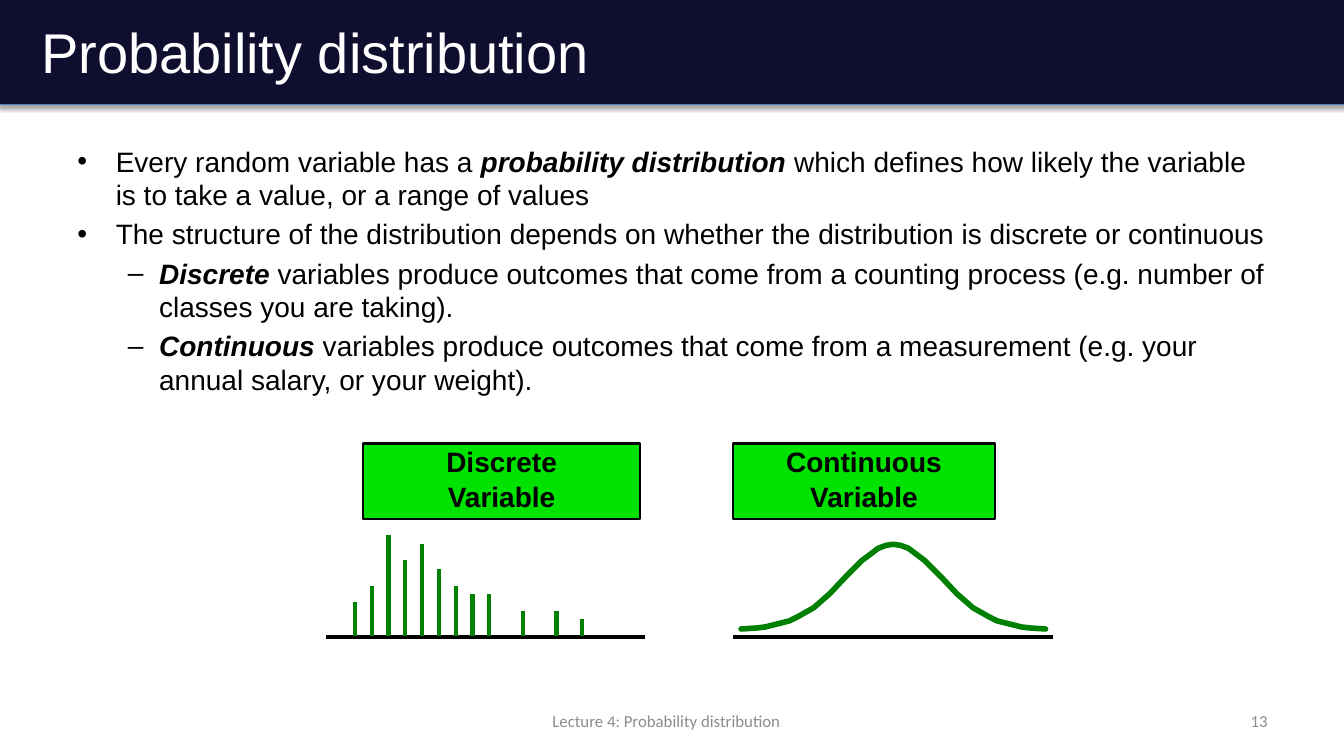
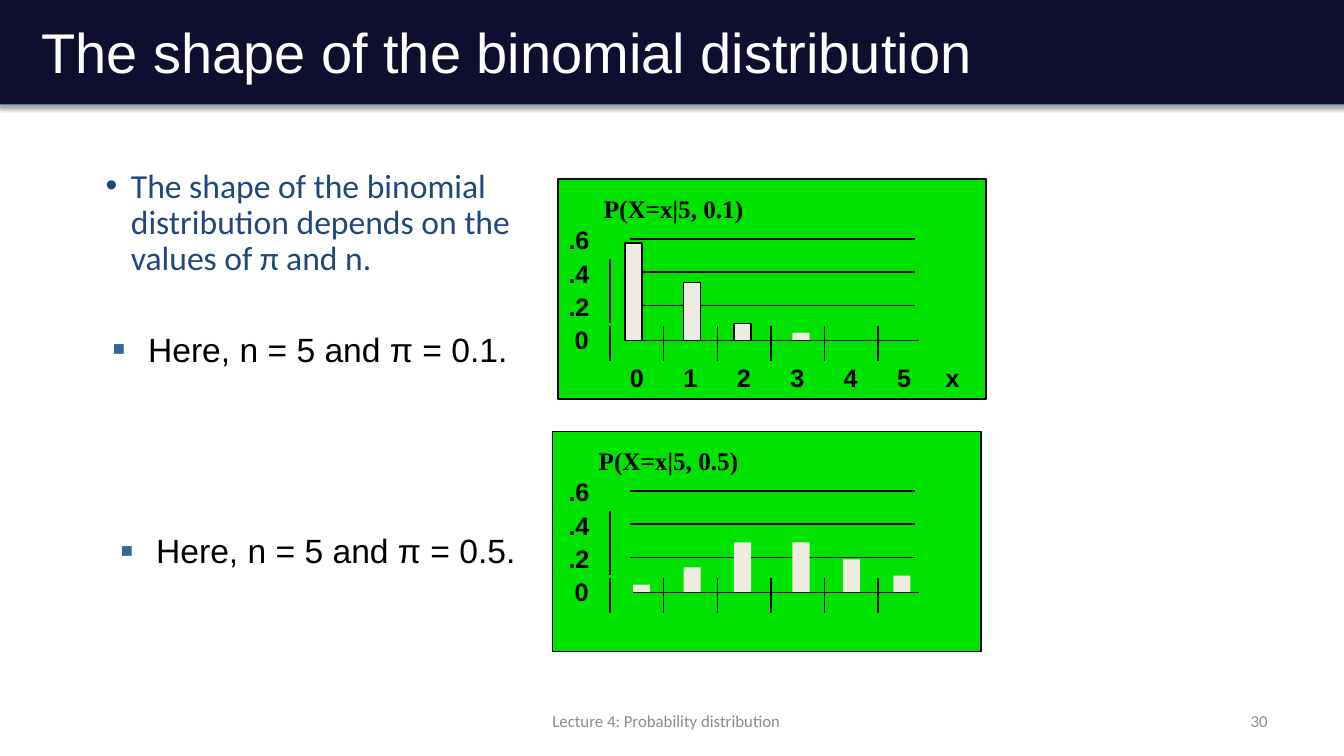
from lxml import etree
from pptx import Presentation
from pptx.dml.color import RGBColor
from pptx.enum.shapes import MSO_CONNECTOR, MSO_SHAPE
from pptx.enum.text import MSO_ANCHOR, PP_ALIGN
from pptx.oxml.ns import qn
from pptx.util import Inches, Pt

RECTANGLE = MSO_SHAPE.RECTANGLE
STRAIGHT = MSO_CONNECTOR.STRAIGHT
MIDDLE, TOP = MSO_ANCHOR.MIDDLE, MSO_ANCHOR.TOP
LEFT, CENTER, RIGHT = PP_ALIGN.LEFT, PP_ALIGN.CENTER, PP_ALIGN.RIGHT

COLORS = {
    "band": "100E2F", "band_edge": "4B7EBC", "white": "FFFFFF",
    "black": "000000", "footer": "8C8C8C", "panel": "00E200",
    "graph": "008000", "bar": "EEECE1", "axis": "800080",
    "heading": "1F497D", "bullet": "336699",
}
FOOTER = "Lecture 4: Probability distribution"
DOT = {"char": "•", "left": 0.38, "hang": 0.38}
DASH = {"char": "–", "left": 0.81, "hang": 0.31}
TIGHT_DOT = {"char": "•", "left": 0.25, "hang": 0.25}
SQUARE = {"char": "■", "left": 0.35, "hang": 0.35, "color": "bullet", "scale": 60}


def rgb(name):
    """Return the palette colour with the given name."""
    return RGBColor.from_string(COLORS[name])


def add_bullet(paragraph, char, left, hang, color=None, scale=100):
    """Give a paragraph a hanging bullet."""
    props = paragraph._p.get_or_add_pPr()
    props.set("marL", str(Inches(left)))
    props.set("indent", str(-Inches(hang)))
    if color:
        tint = etree.SubElement(props, qn("a:buClr"))
        etree.SubElement(tint, qn("a:srgbClr"), val=COLORS[color])
    etree.SubElement(props, qn("a:buSzPct"), val=str(scale * 1000))
    etree.SubElement(props, qn("a:buFont"), typeface="Arial")
    etree.SubElement(props, qn("a:buChar"), char=char)


def write(frame, text, size=18, font="Arial", color="black", bold=False,
          align=LEFT, spacing=1.0, before=0, bullet=None):
    """Add a paragraph; words between asterisks become bold italic."""
    first = not frame.text
    paragraph = frame.paragraphs[0] if first else frame.add_paragraph()
    paragraph.alignment = align
    paragraph.line_spacing = spacing
    paragraph.space_before = Pt(0 if first else before)
    if bullet:
        add_bullet(paragraph, **bullet)
    for index, words in enumerate(text.split("*")):
        if words:
            run = paragraph.add_run()
            run.text = words
            run.font.size = Pt(size)
            run.font.name = font
            run.font.color.rgb = rgb(color)
            run.font.bold = bold or index % 2 == 1
            run.font.italic = index % 2 == 1


def text_area(slide, left, top, width, height, anchor=TOP, wrap=True):
    """Add an empty text box and return its text frame."""
    area = slide.shapes.add_textbox(
        Inches(left), Inches(top), Inches(width), Inches(height))
    area.text_frame.word_wrap = wrap
    area.text_frame.vertical_anchor = anchor
    return area.text_frame


def rectangle(slide, left, top, width, height, fill, line=None, weight=1.0):
    """Add a flat rectangle, outlined when a line colour is given."""
    block = slide.shapes.add_shape(
        RECTANGLE, Inches(left), Inches(top), Inches(width), Inches(height))
    block.shadow.inherit = False
    block.fill.solid()
    block.fill.fore_color.rgb = rgb(fill)
    if line:
        block.line.color.rgb = rgb(line)
        block.line.width = Pt(weight)
    else:
        block.line.fill.background()
    return block


def rule(slide, x1, y1, x2, y2, color="black", weight=1.0):
    """Draw a straight line without a shadow."""
    stroke = slide.shapes.add_connector(
        STRAIGHT, Inches(x1), Inches(y1), Inches(x2), Inches(y2))
    stroke.line.color.rgb = rgb(color)
    stroke.line.width = Pt(weight)
    etree.SubElement(stroke._element.spPr, qn("a:effectLst"))


def framed_slide(prs, title, number):
    """Add a slide with the title band, footer and slide number."""
    slide = prs.slides.add_slide(prs.slide_layouts[6])
    band = rectangle(slide, -0.01, -0.02, 13.35, 1.06, "band", "band_edge", 0.75)
    effects = band._element.spPr.find(qn("a:effectLst"))
    shadow = etree.SubElement(
        effects, qn("a:outerShdw"), blurRad=str(Pt(3.1)), dist=str(Pt(1.8)),
        dir="5400000", rotWithShape="0")
    shade = etree.SubElement(shadow, qn("a:srgbClr"), val=COLORS["black"])
    etree.SubElement(shade, qn("a:alpha"), val="35000")
    write(text_area(slide, 0.31, -0.12, 12, 1.25, MIDDLE), title,
          size=40, color="white")
    for left, width, text, align in ((2.92, 7.38, FOOTER, CENTER),
                                     (10.3, 2.37, number, RIGHT)):
        write(text_area(slide, left, 6.95, width, 0.4, MIDDLE), text,
              size=12, font="Calibri", color="footer", align=align)
    return slide


def variable_label(slide, left, top, width, kind):
    """Add the green label that names a kind of variable."""
    frame = rectangle(slide, left, top, width, 0.75, "panel", "black", 1.5).text_frame
    frame.word_wrap = True
    frame.vertical_anchor = MIDDLE
    for text, spacing in ((kind, 0.8), ("Variable", 0.6)):
        write(frame, text, size=20, bold=True, align=CENTER,
              spacing=spacing, before=10)


def discrete_sketch(slide, left, top):
    """Draw spikes of differing height on an axis."""
    base = top + 1.01
    rule(slide, left, base, left + 3.17, base, weight=3)
    steps = (0, 1, 2, 3, 4, 5, 6, 7, 8, 10, 12, 13.5)
    twelfths = (4, 6, 12, 9, 11, 8, 6, 5, 5, 3, 3, 2)
    for step, height in zip(steps, twelfths):
        x = left + 0.29 + step / 6
        rule(slide, x, base - 0.01 - height / 12, x, base - 0.01, "graph", 3)


def continuous_sketch(slide, left, top):
    """Draw a symmetric bell curve above an axis."""
    base = top + 1.01
    rule(slide, left, base, left + 3.17, base, weight=3)
    center, peak = left + 1.59, top + 0.09
    half = [(0.07, 0.01), (0.15, 0.04), (0.23, 0.1), (0.31, 0.16),
            (0.39, 0.24), (0.47, 0.32), (0.63, 0.49), (0.79, 0.63),
            (0.95, 0.72), (1.03, 0.76), (1.11, 0.78), (1.19, 0.8),
            (1.27, 0.82), (1.35, 0.83), (1.51, 0.84)]
    bell = [(-dx, dy) for dx, dy in reversed(half)] + [(0, 0)] + half
    points = [(Inches(center + dx), Inches(peak + dy)) for dx, dy in bell]
    builder = slide.shapes.build_freeform(*points[0])
    builder.add_line_segments(points[1:], close=False)
    curve = builder.convert_to_shape()
    curve.shadow.inherit = False
    curve.fill.background()
    curve.line.color.rgb = rgb("graph")
    curve.line.width = Pt(4)
    curve._element.spPr.find(qn("a:ln")).set("cap", "rnd")


def binomial_panel(slide, left, top, axis, title, bars, outlined=0,
                   border=0.75, axis_color="black", outcomes=()):
    """Draw a green panel with a bar plot of (offset, height) pairs."""
    base = top + 1.6
    rectangle(slide, left, top, 4.25, 2.18, "panel", "black", border)
    for index, value in enumerate((".6", ".4", ".2")):
        y = top + 0.59 + index * 0.33
        rule(slide, axis + 0.2, y, axis + 3.03, y)
        write(text_area(slide, axis - 0.51, y - 0.19, 0.41, 0.4, wrap=False),
              value, bold=True)
    write(text_area(slide, axis - 0.45, base - 0.21, 0.34, 0.4, wrap=False),
          "0", bold=True)
    for index, (offset, height) in enumerate(bars):
        rectangle(slide, axis + offset, base - height, 0.17, height, "bar",
                  "black" if index < outlined else None)
    rule(slide, axis, top + 0.79, axis, top + 1.42, axis_color)
    rule(slide, axis + 0.23, base, axis + 3.06, base)
    for index in range(6):
        x = axis + index * 0.532
        rule(slide, x, base - 0.15, x, base + 0.2)
    for offset, outcome in outcomes:
        write(text_area(slide, axis + offset, top + 1.77, 0.34, 0.4, wrap=False),
              outcome, bold=True)
    write(text_area(slide, left + 0.36, top + 0.09, 1.6, 0.4, wrap=False),
          title, font="Times New Roman", bold=True)


def distribution_slide(prs):
    """Build the slide on discrete and continuous distributions."""
    slide = framed_slide(prs, "Probability distribution", "13")
    body = text_area(slide, 0.67, 1.38, 12, 2.9)
    points = (
        (DOT, "Every random variable has a *probability distribution* which "
              "defines how likely the variable is to take a value, or a range "
              "of values"),
        (DOT, "The structure of the distribution depends on whether the "
              "distribution is discrete or continuous"),
        (DASH, "*Discrete* variables produce outcomes that come from a counting "
               "process (e.g. number of classes you are taking)."),
        (DASH, "*Continuous* variables produce outcomes that come from a "
               "measurement (e.g. your annual salary, or your weight)."),
    )
    for bullet, text in points:
        write(body, text, size=20, before=4, bullet=bullet)
    variable_label(slide, 3.6, 4.4, 2.75, "Discrete")
    variable_label(slide, 7.27, 4.4, 2.6, "Continuous")
    discrete_sketch(slide, 3.23, 5.31)
    continuous_sketch(slide, 7.27, 5.31)


def binomial_slide(prs):
    """Build the slide comparing two binomial distributions."""
    slide = framed_slide(prs, "The shape of the binomial distribution", "30")
    write(text_area(slide, 0.95, 1.63, 4.25, 1.25),
          "The shape of the binomial distribution depends on the values of π and n.",
          size=24, font="Calibri", color="heading", spacing=0.9, bullet=TIGHT_DOT)
    for left, top, chance in ((1.02, 3.21, "0.1"), (1.1, 5.21, "0.5")):
        write(text_area(slide, left, top, 4.25, 0.67),
              f"Here, n = 5 and π = {chance}.", size=24, bullet=SQUARE)
    outcomes = [(0.1 + count * 0.53, str(count)) for count in range(6)]
    binomial_panel(
        slide, 5.53, 1.78, 6.05, "P(X=x|5, 0.1)",
        [(0.15, 0.97), (0.73, 0.58), (1.23, 0.17), (1.81, 0.08)],
        outlined=3, border=1.5, axis_color="axis",
        outcomes=outcomes + [(3.23, "x")])
    binomial_panel(
        slide, 5.48, 4.28, 6.05, "P(X=x|5, 0.5)",
        [(0.23, 0.08), (0.73, 0.25), (1.23, 0.5),
         (1.81, 0.5), (2.31, 0.33), (2.81, 0.17)])


def main():
    """Build and save the presentation."""
    prs = Presentation()
    prs.slide_width, prs.slide_height = Inches(13.33), Inches(7.5)
    distribution_slide(prs)
    binomial_slide(prs)
    prs.save("out.pptx")


if __name__ == "__main__":
    main()
